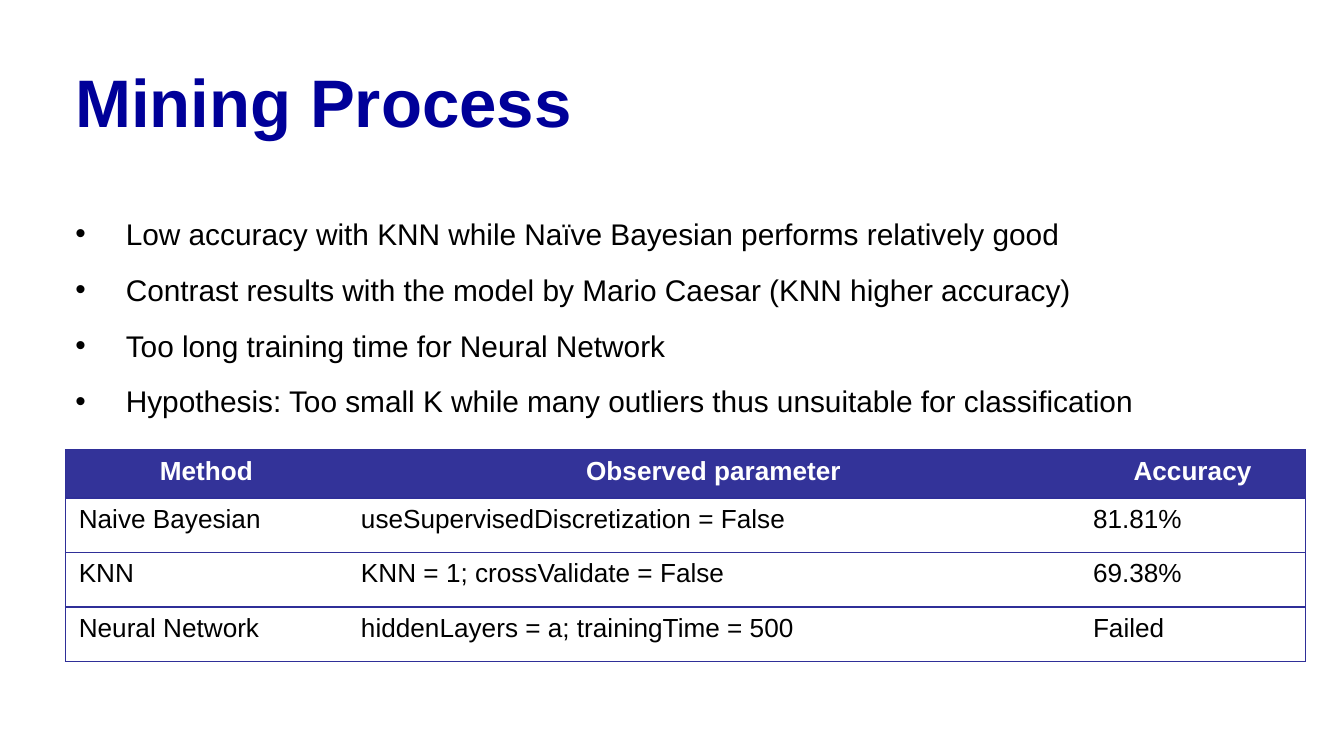
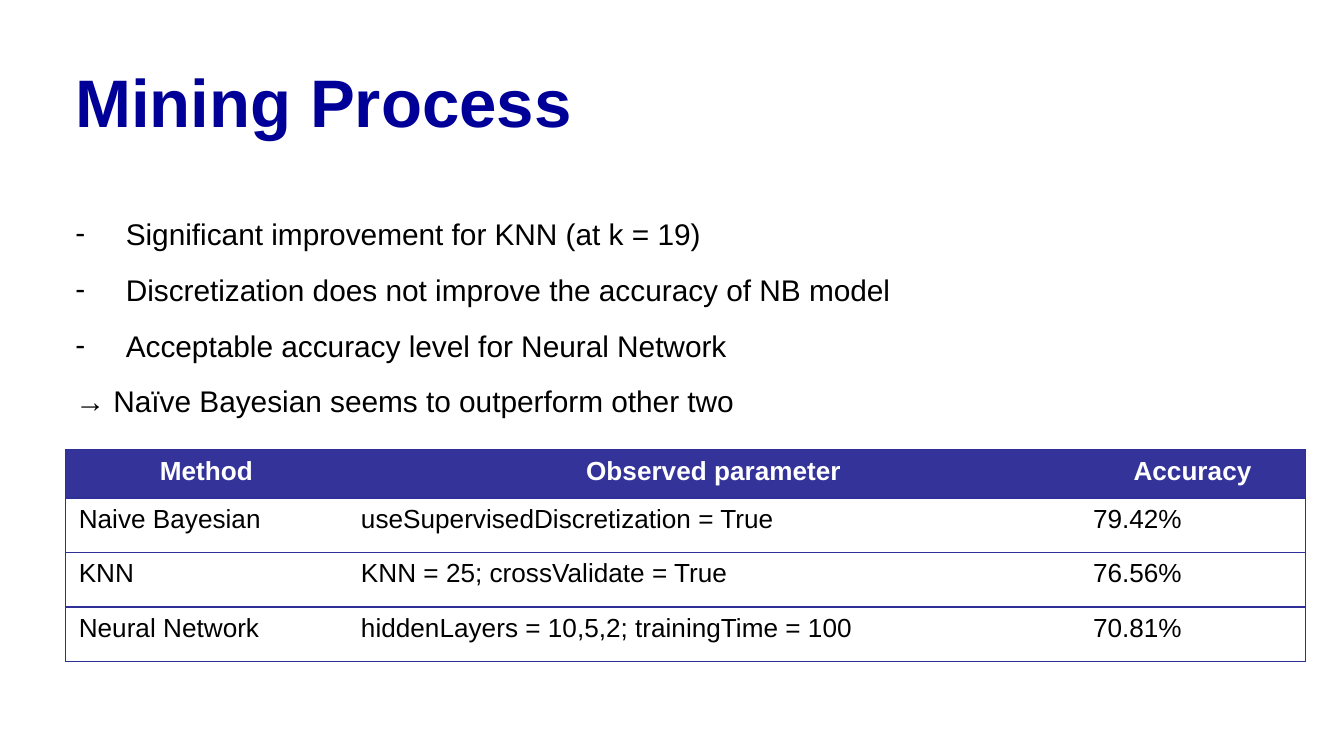
"""Builds two slides on mining results, each with a title, a list and a table."""
from lxml import etree
from pptx import Presentation
from pptx.dml.color import RGBColor
from pptx.enum import text
from pptx.oxml import ns
from pptx.util import Pt

NAVY = RGBColor(0x00, 0x00, 0x99)
INDIGO = RGBColor(0x33, 0x33, 0x99)
BORDER = RGBColor(0x2F, 0x2F, 0x98)
BLACK = RGBColor(0x00, 0x00, 0x00)
WHITE = RGBColor(0xFF, 0xFF, 0xFF)

TITLE = "Mining Process"
HEADINGS = ("Method", "Observed parameter", "Accuracy")
METHODS = ("Naive Bayesian", "KNN", "Neural Network")
SLIDES = [
    {
        "points": [
            ("•", "Low accuracy with KNN while Naïve Bayesian performs relatively good"),
            ("•", "Contrast results with the model by Mario Caesar (KNN higher accuracy)"),
            ("•", "Too long training time for Neural Network"),
            ("•", "Hypothesis: Too small K while many outliers thus unsuitable for classification"),
        ],
        "results": [
            ("useSupervisedDiscretization = False", "81.81%"),
            ("KNN = 1; crossValidate = False", "69.38%"),
            ("hiddenLayers = a; trainingTime = 500", "Failed"),
        ],
    },
    {
        "points": [
            ("-", "Significant improvement for KNN (at k = 19)"),
            ("-", "Discretization does not improve the accuracy of NB model"),
            ("-", "Acceptable accuracy level for Neural Network"),
            (None, "→ Naïve Bayesian seems to outperform other two"),
        ],
        "results": [
            ("useSupervisedDiscretization = True", "79.42%"),
            ("KNN = 25; crossValidate = True", "76.56%"),
            ("hiddenLayers = 10,5,2; trainingTime = 100", "70.81%"),
        ],
    },
]

TITLE_BOX = (33.2, 33.8, 653, 51)
LIST_BOX = (33.2, 102.2, 652.5, 268.5)
TABLE_ORIGIN = (35, 241)
COLUMN_WIDTHS = (151.2, 392.2, 121)
ROW_HEIGHTS = (25.8, 29.2, 29.2, 29.2)
INDENT = 27

FONTS = {
    "title": {"name": "Arial", "size": Pt(36), "bold": True},
    "list": {"name": "Arial", "size": Pt(16), "bold": False},
    "heading": {"name": "Arial", "size": Pt(14), "bold": True},
    "cell": {"name": "Arial", "size": Pt(14), "bold": False},
}
SPACING = {
    "title": {"line_spacing": 0.9, "space_before": Pt(2.7)},
    "list": {"line_spacing": 1.5, "space_before": Pt(1.2)},
}


def apply(target, values):
    for name, value in values.items():
        setattr(target, name, value)


def write(paragraph, words, style, color, alignment=text.PP_ALIGN.LEFT):
    run = paragraph.add_run()
    run.text = words
    apply(run.font, FONTS[style])
    run.font.color.rgb = color
    apply(paragraph, {"alignment": alignment, **SPACING.get(style, {})})


def place(shape, box):
    apply(shape, dict(zip(("left", "top", "width", "height"), map(Pt, box))))
    apply(shape.text_frame, {
        "word_wrap": True,
        "auto_size": text.MSO_AUTO_SIZE.NONE,
        "vertical_anchor": text.MSO_ANCHOR.TOP,
    })
    return shape.text_frame


def set_bullet(paragraph, bullet):
    properties = paragraph._p.get_or_add_pPr()
    indent = Pt(INDENT) if bullet else 0
    properties.set("marL", str(indent))
    properties.set("indent", str(-indent))
    if bullet:
        etree.SubElement(properties, ns.qn("a:buFont"), typeface="Arial")
        etree.SubElement(properties, ns.qn("a:buChar"), char=bullet)
    else:
        etree.SubElement(properties, ns.qn("a:buNone"))


def add_list(frame, points):
    for index, (bullet, words) in enumerate(points):
        paragraph = frame.add_paragraph() if index else frame.paragraphs[0]
        write(paragraph, words, "list", BLACK)
        set_bullet(paragraph, bullet)


def set_borders(cell, column):
    visible = {
        "a:lnL": column == 0,
        "a:lnR": column == len(COLUMN_WIDTHS) - 1,
        "a:lnT": True,
        "a:lnB": True,
    }
    properties = cell._tc.get_or_add_tcPr()
    for tag, shown in visible.items():
        line = etree.SubElement(properties, ns.qn(tag), w=str(Pt(0.75)))
        if shown:
            fill = etree.SubElement(line, ns.qn("a:solidFill"))
            etree.SubElement(fill, ns.qn("a:srgbClr"), val=str(BORDER))
        else:
            etree.SubElement(line, ns.qn("a:noFill"))


def add_results(slide, results):
    rows = [HEADINGS] + [(method, *result) for method, result in zip(METHODS, results)]
    size = (sum(COLUMN_WIDTHS), sum(ROW_HEIGHTS))
    table = slide.shapes.add_table(
        len(rows), len(HEADINGS), *map(Pt, TABLE_ORIGIN + size)).table
    table.horz_banding = False
    for column, width in zip(table.columns, COLUMN_WIDTHS):
        column.width = Pt(width)
    for row, height in zip(table.rows, ROW_HEIGHTS):
        row.height = Pt(height)
    for row, values in enumerate(rows):
        for column, words in enumerate(values):
            cell = table.cell(row, column)
            set_borders(cell, column)
            cell.fill.solid()
            cell.fill.fore_color.rgb = WHITE if row else INDIGO
            paragraph = cell.text_frame.paragraphs[0]
            if row:
                write(paragraph, words, "cell", BLACK)
            else:
                write(paragraph, words, "heading", WHITE, text.PP_ALIGN.CENTER)


def main():
    presentation = Presentation()
    apply(presentation, {"slide_width": Pt(720), "slide_height": Pt(405)})
    for content in SLIDES:
        slide = presentation.slides.add_slide(presentation.slide_layouts[1])
        title, body = slide.placeholders
        write(place(title, TITLE_BOX).paragraphs[0], TITLE, "title", NAVY)
        add_list(place(body, LIST_BOX), content["points"])
        add_results(slide, content["results"])
    presentation.save("out.pptx")


if __name__ == "__main__":
    main()
